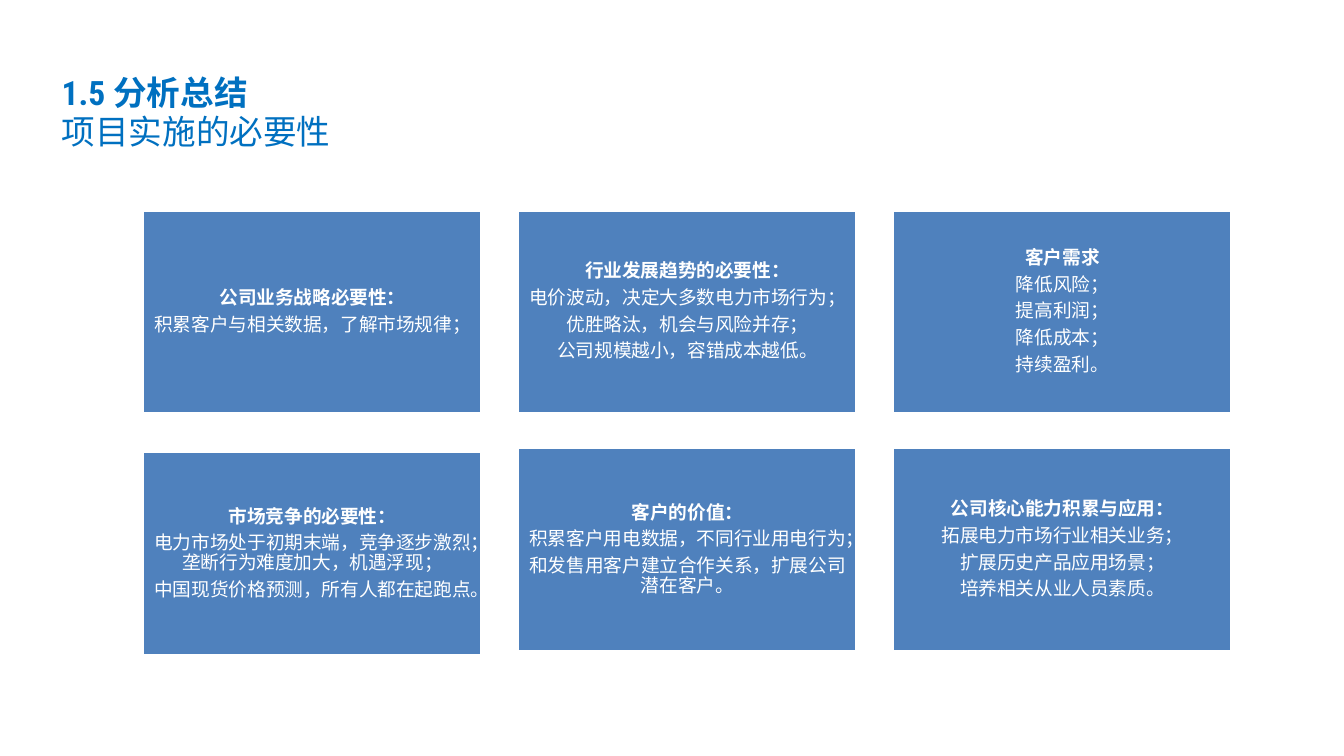
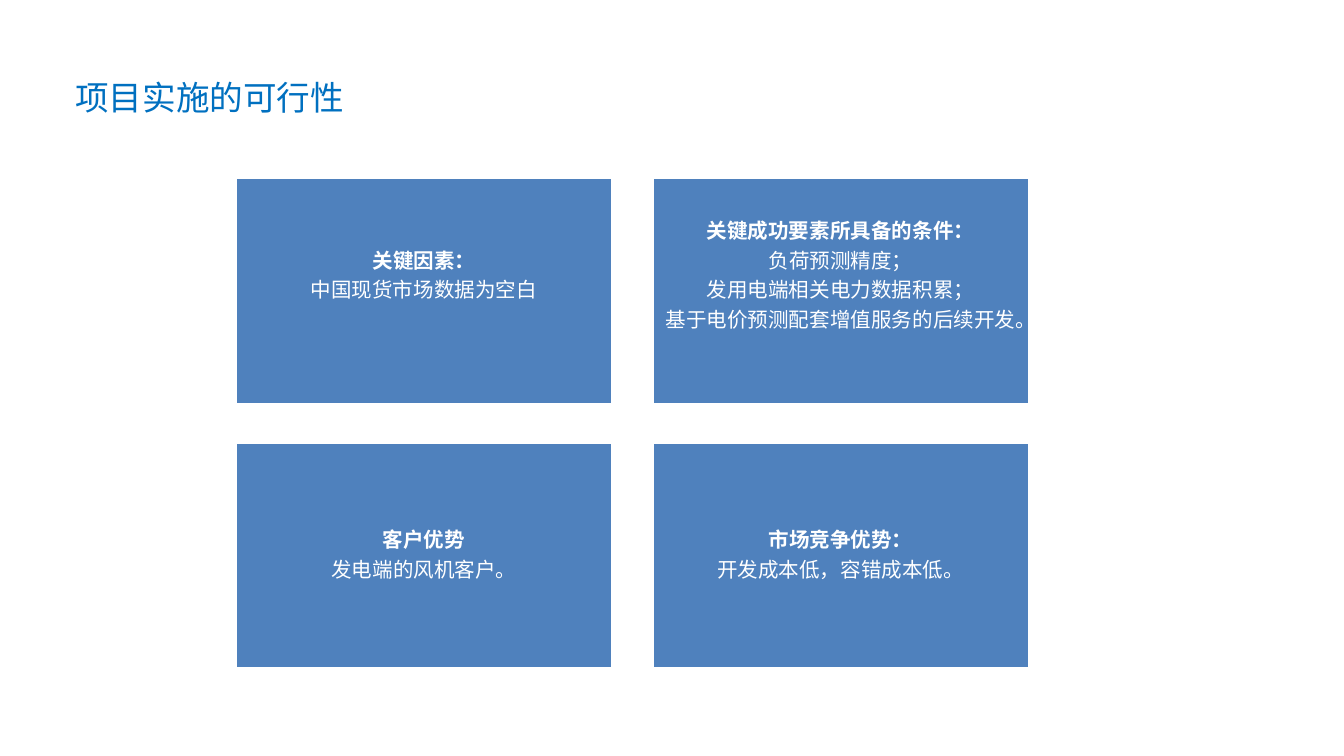
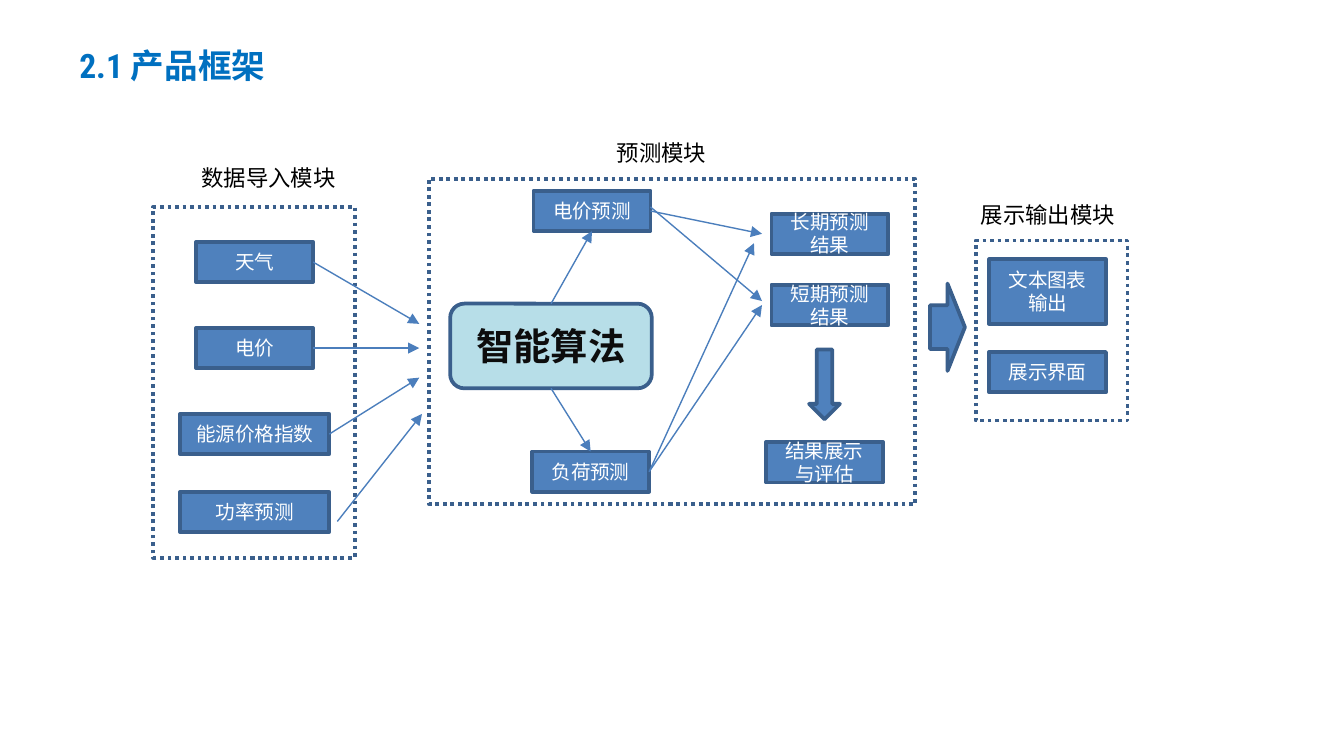
from dataclasses import dataclass

from lxml.etree import SubElement
from pptx import Presentation
from pptx.dml.color import RGBColor
from pptx.enum.dml import MSO_LINE
from pptx.enum.shapes import MSO_CONNECTOR, MSO_SHAPE as Shape
from pptx.enum.text import MSO_ANCHOR as Anchor, PP_ALIGN as Align
from pptx.oxml.ns import qn
from pptx.util import Inches, Pt

TOP, LEFT, BOTTOM, RIGHT = range(4)


@dataclass(frozen=True)
class Theme:
    """Colours, fonts and type sizes shared by the slides."""
    title: str = "0070C0"
    fill: str = "4F81BD"
    edge: str = "3A5F8C"
    arrow: str = "4B7EBC"
    accent: str = "B7DEE8"
    white: str = "FFFFFF"
    black: str = "000000"
    dark: str = "0D0D0D"
    heading_font: str = "Roboto Condensed"
    body_font: str = "Noto Sans CJK SC"
    diagram_font: str = "Calibri"
    title_size: float = 18
    algorithm_size: float = 20
    label_size: float = 12
    node_size: float = 10.5
    line_pitch: float = 1.17
    card_pitch: float = 1.05
    card_gap: float = 0.38


THEME = Theme()


def rgb(color):
    """Turn a hex string into a colour."""
    return RGBColor.from_string(color)


def add_paragraph(tf, text, size, color, font, bold=False, align=Align.LEFT,
                  pitch=THEME.line_pitch):
    """Write one run as the next paragraph of a text frame."""
    p = tf.paragraphs[0] if not tf.text else tf.add_paragraph()
    p.alignment = align
    p.line_spacing = Pt(round(size * pitch, 1))
    r = p.add_run()
    r.text = text
    r.font.size = Pt(size)
    r.font.bold = bold
    r.font.name = font
    r.font.color.rgb = rgb(color)
    SubElement(r._r.get_or_add_rPr(), qn("a:ea"), typeface=THEME.body_font)
    return p


def set_insets(tf, side, bottom=None):
    """Set equal margins, with an optional different bottom one."""
    tf.margin_left = tf.margin_top = tf.margin_right = Inches(side)
    tf.margin_bottom = Inches(side if bottom is None else bottom)


def add_text(slide, left, top, width, height):
    """Add an empty wrapping text box and return its frame."""
    tf = slide.shapes.add_textbox(
        Inches(left), Inches(top), Inches(width), Inches(height)).text_frame
    tf.word_wrap = True
    return tf


def add_title(slide, left, top, width, heading=None, subtitle=None):
    """Add the numbered heading, the subtitle or both."""
    tf = add_text(slide, left, top, width,
                  0.61 if heading and subtitle else 0.3)
    set_insets(tf, 0)
    if heading:
        add_paragraph(tf, heading, THEME.title_size, THEME.title,
                      THEME.heading_font, bold=True)
    if subtitle:
        add_paragraph(tf, subtitle, THEME.title_size, THEME.title,
                      THEME.body_font)


def add_box(slide, kind, left, top, width, height, fill=None, line=THEME.edge):
    """Add a preset shape with a 2 pt outline."""
    sp = slide.shapes.add_shape(
        kind, Inches(left), Inches(top), Inches(width), Inches(height))
    sp.shadow.inherit = False
    if fill:
        sp.fill.solid()
        sp.fill.fore_color.rgb = rgb(fill)
    else:
        sp.fill.background()
    sp.line.color.rgb = rgb(line)
    sp.line.width = Pt(2)
    sp.text_frame.word_wrap = True
    sp.text_frame.vertical_anchor = Anchor.MIDDLE
    return sp


def add_card(slide, left, top, width, height, lines, size, inset, lift=0):
    """Add a card with a bold first line, its text raised by lift."""
    sp = add_box(slide, Shape.RECTANGLE, left, top, width, height,
                 THEME.fill, THEME.white)
    tf = sp.text_frame
    set_insets(tf, inset, inset + 2 * lift)
    for i, text in enumerate(lines):
        p = add_paragraph(tf, text, size, THEME.white, THEME.body_font,
                          i == 0, Align.CENTER, THEME.card_pitch)
        p.space_after = Pt(round(size * THEME.card_gap, 1))


def add_node(slide, text, left, top, width=0.87, height=0.3):
    """Add a labelled step of the diagram."""
    sp = add_box(slide, Shape.RECTANGLE, left, top, width, height, THEME.fill)
    add_paragraph(sp.text_frame, text, THEME.node_size, THEME.white,
                  THEME.diagram_font, align=Align.CENTER)
    return sp


def add_module(slide, name, label_at, frame):
    """Add a dotted module frame and its label."""
    sp = add_box(slide, Shape.RECTANGLE, *frame)
    sp.line.dash_style = MSO_LINE.ROUND_DOT
    tf = add_text(slide, *label_at, 1.73, 0.3)
    add_paragraph(tf, name, THEME.label_size, THEME.black, THEME.diagram_font)


def add_arrow(slide, start, end):
    """Draw an arrow between points or (shape, side) pairs."""
    def point(at):
        return (0, 0) if hasattr(at[0], "shape_id") else map(Inches, at)

    cx = slide.shapes.add_connector(
        MSO_CONNECTOR.STRAIGHT, *point(start), *point(end))
    if hasattr(start[0], "shape_id"):
        cx.begin_connect(*start)
    if hasattr(end[0], "shape_id"):
        cx.end_connect(*end)
    cx.line.color.rgb = rgb(THEME.arrow)
    cx.line.width = Pt(0.75)
    SubElement(cx.line._get_or_add_ln(), qn("a:tailEnd"), type="triangle")
    SubElement(cx._element.spPr, qn("a:effectLst"))


def build_necessity(slide):
    """Fill the slide on why the project is needed."""
    add_title(slide, 0.46, 0.54, 4.54, "1.5 分析总结", "项目实施的必要性")
    cards = [
        ["公司业务战略必要性：", "积累客户与相关数据，了解市场规律；"],
        ["行业发展趋势的必要性：", "电价波动，决定大多数电力市场行为；",
         "优胜略汰，机会与风险并存；", "公司规模越小，容错成本越低。"],
        ["客户需求", "降低风险；", "提高利润；", "降低成本；", "持续盈利。"],
        ["市场竞争的必要性：",
         "电力市场处于初期末端，竞争逐步激烈；垄断行为难度加大，机遇浮现；",
         "中国现货价格预测，所有人都在起跑点。"],
        ["客户的价值：", "积累客户用电数据，不同行业用电行为；",
         "和发售用客户建立合作关系，扩展公司潜在客户。"],
        ["公司核心能力积累与应用：", "拓展电力市场行业相关业务；",
         "扩展历史产品应用场景；", "培养相关从业人员素质。"],
    ]
    competition = 3
    for i, lines in enumerate(cards):
        row, col = divmod(i, 3)
        drop = 0.03 if i == competition else 0
        add_card(slide, 1.06 + 2.79 * col, 1.56 + 1.77 * row + drop,
                 2.53, 1.52, lines, 10, 0.04)


def build_feasibility(slide):
    """Fill the slide on why the project can be done."""
    add_title(slide, 0.56, 0.58, 8.62, subtitle="项目实施的可行性")
    cards = [
        ["关键因素：", "中国现货市场数据为空白"],
        ["关键成功要素所具备的条件：", "负荷预测精度；",
         "发用电端相关电力数据积累；", "基于电价预测配套增值服务的后续开发。"],
        ["客户优势", "发电端的风机客户。"],
        ["市场竞争优势：", "开发成本低，容错成本低。"],
    ]
    for i, lines in enumerate(cards):
        row, col = divmod(i, 2)
        add_card(slide, 1.75 + 3.1 * col, 1.32 + 1.97 * row, 2.81, 1.69,
                 lines, 11, 0.05, lift=0 if row else 0.11)


def build_framework(slide):
    """Fill the slide with the product framework diagram."""
    add_title(slide, 0.59, 0.34, 4.54, "2.1 产品框架")
    add_module(slide, "数据导入模块", (1.4, 1.18), (1.14, 1.54, 1.5, 2.61))
    add_module(slide, "预测模块", (4.49, 0.99), (3.19, 1.33, 3.62, 2.42))
    add_module(slide, "展示输出模块", (7.2, 1.45), (7.26, 1.79, 1.13, 1.34))

    algorithm = add_box(slide, Shape.ROUNDED_RECTANGLE, 3.35, 2.26, 1.5, 0.63,
                        THEME.accent)
    add_paragraph(algorithm.text_frame, "智能算法", THEME.algorithm_size,
                  THEME.dark, THEME.diagram_font, True, Align.CENTER)

    weather = add_node(slide, "天气", 1.46, 1.8)
    price = add_node(slide, "电价", 1.46, 2.44)
    index = add_node(slide, "能源价格指数", 1.34, 3.08, 1.11)
    add_node(slide, "功率预测", 1.34, 3.66, 1.11)
    price_forecast = add_node(slide, "电价预测", 3.97, 1.42)
    load_forecast = add_node(slide, "负荷预测", 3.96, 3.36)
    add_node(slide, "长期预测结果", 5.74, 1.59)
    add_node(slide, "短期预测结果", 5.74, 2.12)
    add_node(slide, "结果展示与评估", 5.7, 3.29)
    add_node(slide, "文本图表输出", 7.36, 1.93, height=0.48)
    add_node(slide, "展示界面", 7.36, 2.62)

    add_box(slide, Shape.DOWN_ARROW, 6.02, 2.6, 0.23, 0.52, THEME.fill)
    add_box(slide, Shape.RIGHT_ARROW, 6.92, 2.11, 0.26, 0.65, THEME.fill)

    for start, end in [
        ((weather, RIGHT), (3.12, 2.41)),
        ((price, RIGHT), (3.12, 2.59)),
        ((index, RIGHT), (3.12, 2.81)),
        ((2.51, 3.88), (3.14, 3.08)),
        ((algorithm, TOP), (price_forecast, BOTTOM)),
        ((algorithm, BOTTOM), (load_forecast, TOP)),
        ((price_forecast, RIGHT), (5.67, 1.74)),
        ((4.84, 1.54), (5.67, 2.24)),
        ((load_forecast, RIGHT), (5.67, 2.27)),
        ((load_forecast, RIGHT), (5.61, 1.81)),
    ]:
        add_arrow(slide, start, end)


def main():
    """Build the three slides and save them."""
    prs = Presentation()
    prs.slide_width = Inches(10)
    prs.slide_height = prs.slide_width * 9 // 16
    blank = prs.slide_layouts[6]
    for build in (build_necessity, build_feasibility, build_framework):
        build(prs.slides.add_slide(blank))
    prs.save("out.pptx")


if __name__ == "__main__":
    main()
